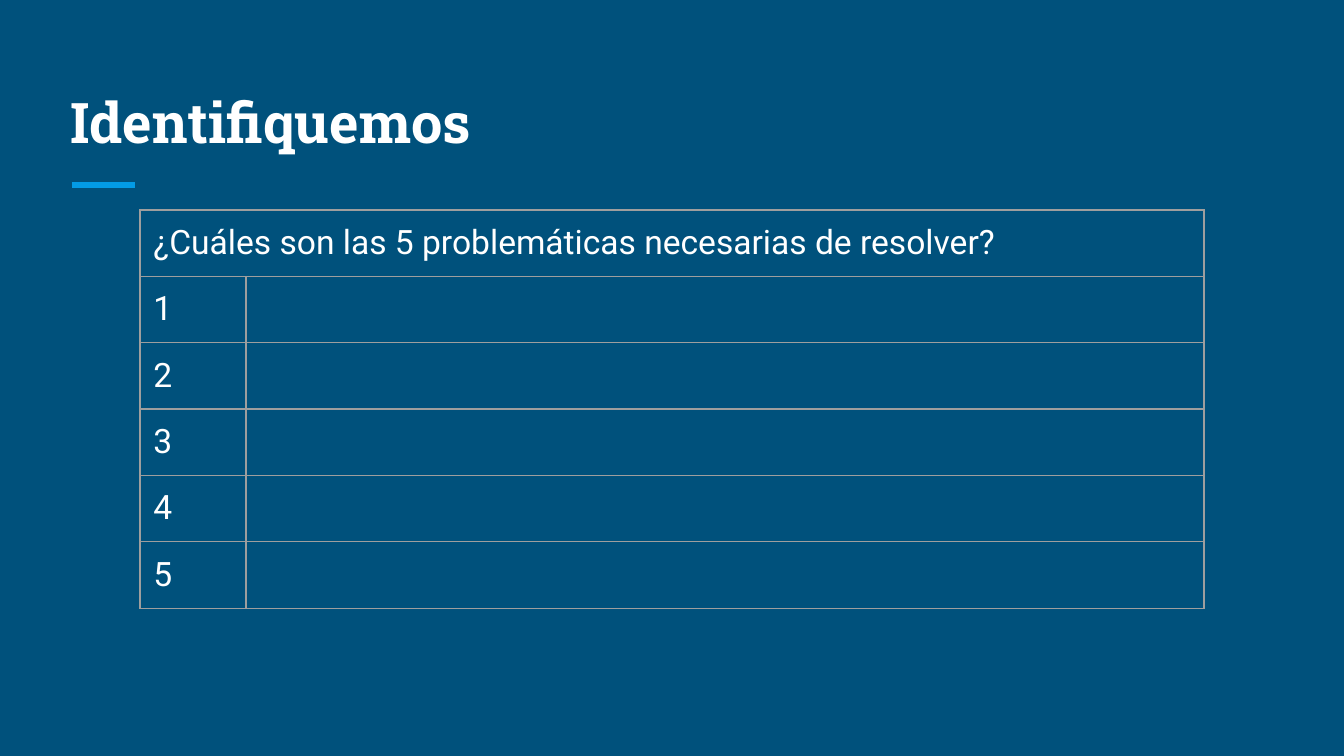
import pptx
import pptx.util
import pptx.dml.color
import pptx.enum.shapes
import pptx.enum.text
import pptx.oxml.ns
import lxml.etree

# Content
TITLE = "Identifiquemos"
QUESTION = "¿Cuáles son las 5 problemáticas necesarias de resolver?"
NUMBERS = ["1", "2", "3", "4", "5"]

# Style
NAVY = pptx.dml.color.RGBColor(0x00, 0x51, 0x7C)
SKY = pptx.dml.color.RGBColor(0x03, 0x9B, 0xE5)
WHITE = pptx.dml.color.RGBColor(0xFF, 0xFF, 0xFF)
GRAY = pptx.dml.color.RGBColor(0x9E, 0x9E, 0x9E)
TITLE_FONT, BODY_FONT = "Roboto Slab", "Roboto"
BODY_SIZE = 18

# Layout in pixels
PIXEL = 914400 / 134.4
INSET = 13.44
TABLE_LEFT, TABLE_TOP = 140, 210
COLUMNS = [106, 958]
ROW_HEIGHT = 66


def px(length):
    return pptx.util.Emu(round(length * PIXEL))


def add_node(parent, tag, **attributes):
    return lxml.etree.SubElement(parent, pptx.oxml.ns.qn(tag), **attributes)


def format_text(frame, font, size, bold=False):
    for para in frame.paragraphs:
        for span in para.runs:
            span.font.name = font
            span.font.size = pptx.util.Pt(size)
            span.font.bold = bold
            span.font.color.rgb = WHITE


def format_cell(cell):
    cell.margin_left = cell.margin_right = px(INSET)
    cell.margin_top = cell.margin_bottom = px(INSET)
    format_text(cell.text_frame, BODY_FONT, BODY_SIZE)
    if not cell.text:
        end = add_node(cell.text_frame.paragraphs[0]._p, "a:endParaRPr",
                       sz=str(BODY_SIZE * 100))
        add_node(end, "a:latin", typeface=BODY_FONT)
    properties = cell._tc.get_or_add_tcPr()
    for side in ("a:lnL", "a:lnR", "a:lnT", "a:lnB"):
        border = add_node(properties, side, w=str(pptx.util.Pt(0.75)))
        add_node(add_node(border, "a:solidFill"), "a:srgbClr", val=str(GRAY))
    cell.fill.background()


# Page
deck = pptx.Presentation()
deck.slide_width, deck.slide_height = px(1344), px(756)
page = deck.slides.add_slide(deck.slide_layouts[5])
page.background.fill.solid()
page.background.fill.fore_color.rgb = NAVY

# Title
title = page.shapes.title
title.left, title.top, title.width, title.height = map(px, (57, 67, 1230, 101))
frame = title.text_frame
frame.text = TITLE
frame.word_wrap = True
frame.auto_size = pptx.enum.text.MSO_AUTO_SIZE.NONE
frame.vertical_anchor = pptx.enum.text.MSO_ANCHOR.BOTTOM
frame.margin_left = frame.margin_right = px(INSET)
frame.margin_top = frame.margin_bottom = px(INSET)
frame.paragraphs[0].alignment = pptx.enum.text.PP_ALIGN.LEFT
format_text(frame, TITLE_FONT, 30, bold=True)

# Accent line
accent = page.shapes.add_connector(
    pptx.enum.shapes.MSO_CONNECTOR.STRAIGHT, px(72), px(185), px(135), px(185))
accent.line.color.rgb = SKY
accent.line.width = pptx.util.Pt(3)
add_node(accent._element.spPr, "a:effectLst")

# Table
rows = [[QUESTION, ""]] + [[number, ""] for number in NUMBERS]
table = page.shapes.add_table(
    len(rows), len(COLUMNS), px(TABLE_LEFT), px(TABLE_TOP),
    px(sum(COLUMNS)), px(ROW_HEIGHT * len(rows))).table
table.first_row = table.horz_banding = False
for column, width in zip(table.columns, COLUMNS):
    column.width = px(width)
for r, texts in enumerate(rows):
    table.rows[r].height = px(ROW_HEIGHT)
    for c, text in enumerate(texts):
        cell = table.cell(r, c)
        if text:
            cell.text = text
        format_cell(cell)
table.cell(0, 0).merge(table.cell(0, 1))

deck.save("out.pptx")
